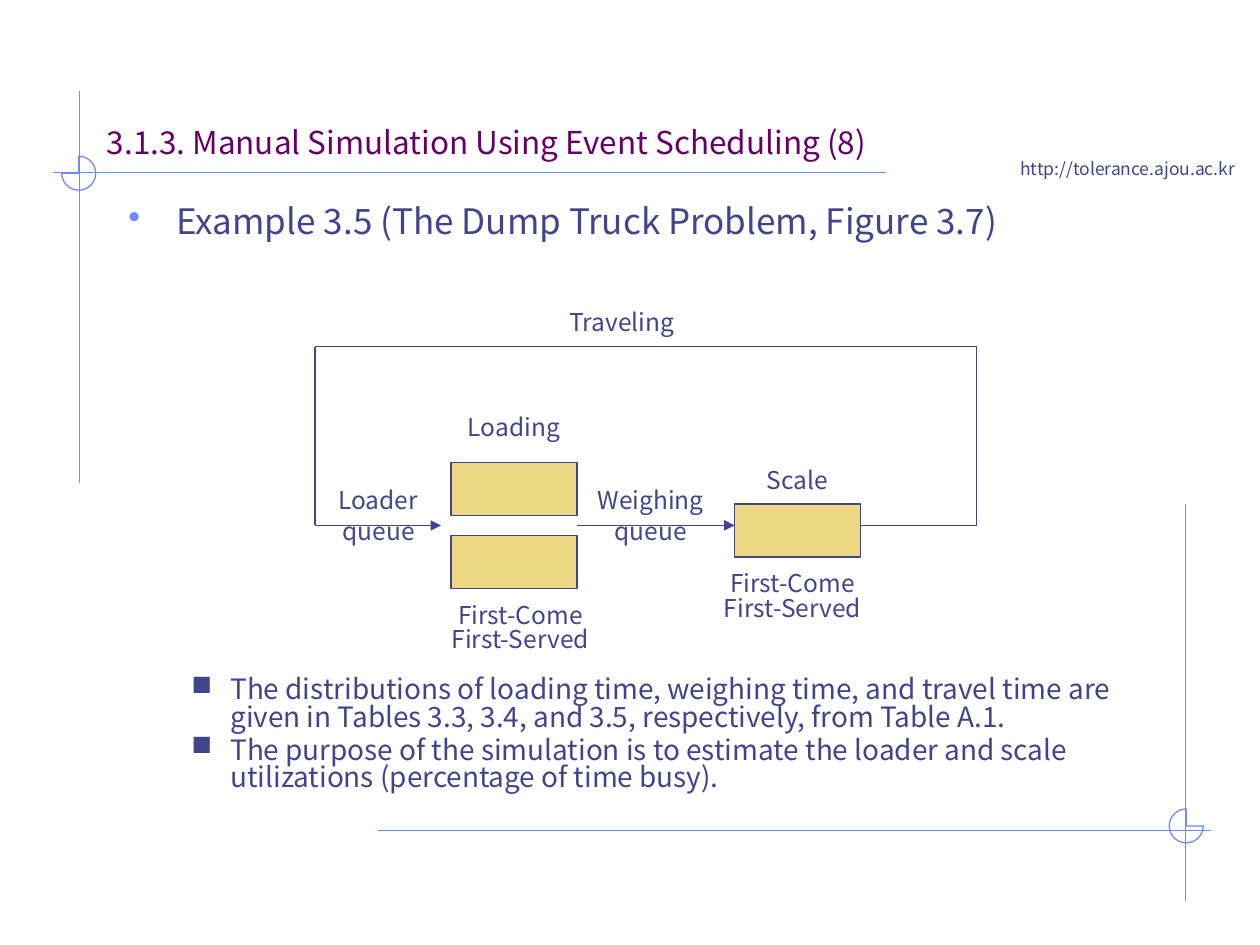
from lxml import etree
from pptx import Presentation
from pptx.dml.color import RGBColor
from pptx.enum import shapes, text
from pptx.oxml.ns import qn
from pptx.util import Inches, Pt

COLORS = {"ink": "40458C", "frame": "6F89F7", "title": "660066", "box": "ECD882"}
FONT = "Noto Sans CJK KR"
LEFT, CENTER = text.PP_ALIGN.LEFT, text.PP_ALIGN.CENTER

prs = Presentation()
prs.slide_width, prs.slide_height = Inches(10), Inches(7.5)
slide = prs.slides.add_slide(prs.slide_layouts[6])


def add_text(box, paragraphs, size, color="ink", align=LEFT, spacing=0.88,
             bullet=None, bullet_color="ink", margin=0, hang=0):
    """Add a text box at box (left, top, width, height in inches)."""
    frame = slide.shapes.add_textbox(*map(Inches, box)).text_frame
    frame.word_wrap = True
    for i, words in enumerate(paragraphs):
        para = frame.paragraphs[0] if i == 0 else frame.add_paragraph()
        para.alignment = align
        para.line_spacing = spacing
        if i:
            para.space_before = Pt(3.2)
        if bullet:
            props = para._p.get_or_add_pPr()
            props.set("marL", str(Inches(margin)))
            props.set("indent", str(-Inches(hang)))
            bullet_fill = etree.SubElement(props, qn("a:buClr"))
            etree.SubElement(bullet_fill, qn("a:srgbClr"), val=COLORS[bullet_color])
            etree.SubElement(props, qn("a:buChar"), char=bullet)
        run = para.add_run()
        run.text = words
        run.font.size = Pt(size)
        run.font.name = FONT
        run.font.color.rgb = RGBColor.from_string(COLORS[color])
    return frame


def add_line(start, end, color="ink", arrow=False):
    line = slide.shapes.add_connector(
        shapes.MSO_CONNECTOR.STRAIGHT, *map(Inches, (*start, *end)))
    line.line.color.rgb = RGBColor.from_string(COLORS[color])
    line.line.width = Pt(0.75)
    if arrow:
        etree.SubElement(line.line._get_or_add_ln(), qn("a:tailEnd"), type="triangle")
    etree.SubElement(line._element.spPr, qn("a:effectLst"))


# Corner rules, each crossing marked with a three-quarter circle
for start, end in [((3, 6.59), (9.61, 6.59)), ((9.41, 4), (9.41, 7.15)),
                   ((0.63, 0.72), (0.63, 3.83)), ((7.03, 1.37), (0.42, 1.37))]:
    add_line(start, end, "frame")
for left, top, rotation in [(9.28, 6.42, 0), (0.49, 1.24, 270)]:
    mark = slide.shapes.add_shape(shapes.MSO_SHAPE.PIE, Inches(left), Inches(top),
                                  Inches(0.27), Inches(0.27))
    mark.rotation = rotation
    mark.shadow.inherit = False
    mark.fill.background()
    mark.line.color.rgb = RGBColor.from_string(COLORS["frame"])
    mark.line.width = Pt(0.75)

# Heading
add_text((8, 1.23, 1.95, 0.27), ["http://tolerance.ajou.ac.kr"], 10)
heading = add_text((0.75, 0.66, 7.33, 0.67),
                   ["3.1.3. Manual Simulation Using Event Scheduling (8)"], 18, "title")
heading.vertical_anchor = text.MSO_ANCHOR.BOTTOM
add_text((0.92, 1.58, 8.5, 0.6), ["Example 3.5 (The Dump Truck Problem, Figure 3.7)"], 20,
         bullet="•", bullet_color="frame", margin=0.38, hang=0.38)

# Two loaders and one scale
for left, top in [(3.58, 3.67), (3.58, 4.25), (5.83, 4)]:
    server = slide.shapes.add_shape(shapes.MSO_SHAPE.RECTANGLE, Inches(left), Inches(top),
                                    Inches(1), Inches(0.42))
    server.shadow.inherit = False
    server.fill.solid()
    server.fill.fore_color.rgb = RGBColor.from_string(COLORS["box"])
    server.line.color.rgb = RGBColor.from_string(COLORS["ink"])
    server.line.width = Pt(0.75)

# Truck route
flow_y, travel_y, route_left, route_right = 4.17, 2.75, 2.5, 7.75
add_line((4.58, flow_y), (5.83, flow_y), arrow=True)
add_line((route_left, flow_y), (3.5, flow_y), arrow=True)
corners = [(route_left, flow_y), (route_left, travel_y), (route_right, travel_y),
           (route_right, flow_y), (6.83, flow_y)]
for start, end in zip(corners, corners[1:]):
    add_line(start, end)

# Diagram labels
add_text((4.42, 2.42, 1.08, 0.33), ["Traveling"], 14)
for label, left, top, width in [
        ("Loading", 3.58, 3.25, 1), ("Scale", 5.83, 3.67, 1),
        ("Weighing", 4.58, 3.83, 1.17), ("queue", 4.58, 4.08, 1.17),
        ("Loader", 2.5, 3.83, 1), ("queue", 2.42, 4.08, 1.17)]:
    add_text((left, top, width, 0.33), [label], 14, align=CENTER)
for left, top in [(3.42, 4.75), (5.58, 4.5)]:
    add_text((left, top, 1.42, 0.57), ["First-Come First-Served"], 14,
             align=CENTER, spacing=0.83)

# Notes on the problem
add_text((0.92, 5.33, 8.5, 1.33), [
    "The distributions of loading time, weighing time, and travel time are given in "
    "Tables 3.3, 3.4, and 3.5, respectively, from Table A.1.",
    "The purpose of the simulation is to estimate the loader and scale utilizations "
    "(percentage of time busy).",
], 16, spacing=0.82, bullet="■", margin=0.81, hang=0.31)

prs.save("out.pptx")
